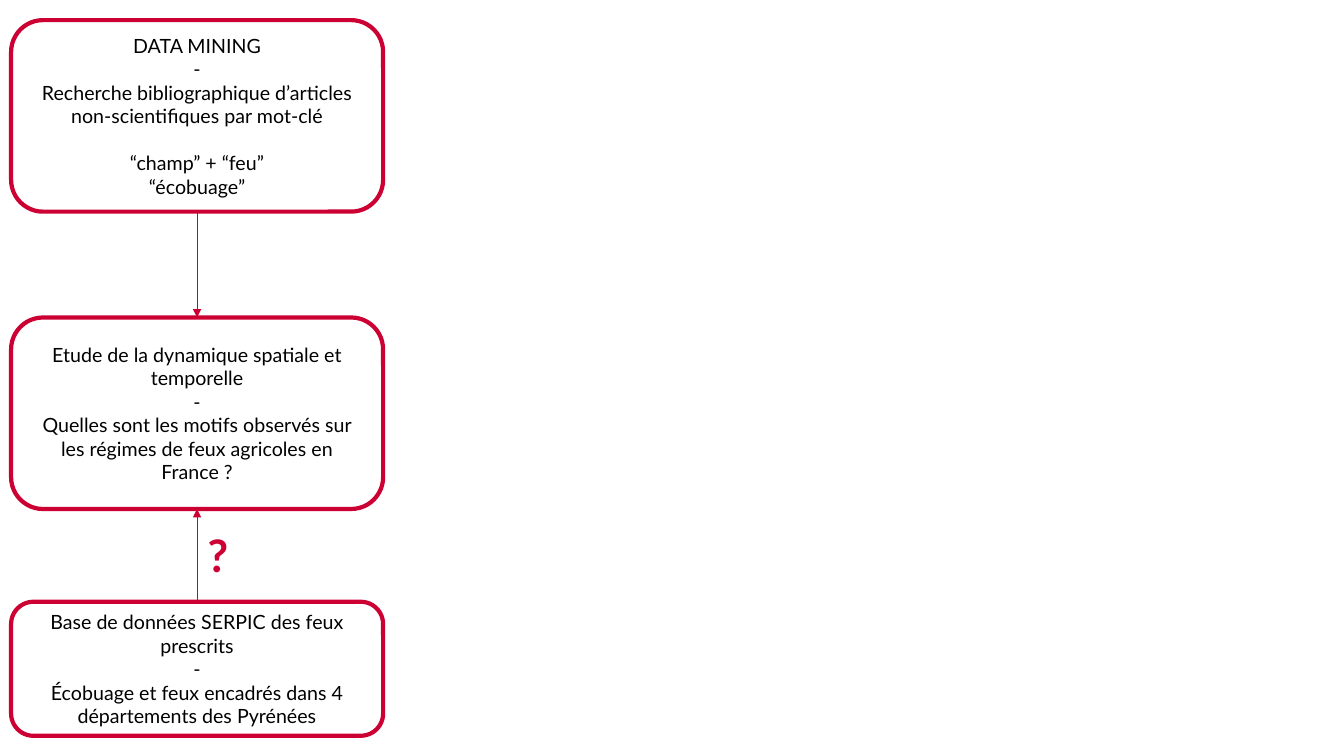
from lxml import etree
from pptx import Presentation
from pptx.dml.color import RGBColor
from pptx.enum.shapes import MSO_CONNECTOR as Connector, MSO_SHAPE as Shape
from pptx.enum.text import MSO_ANCHOR as Anchor, PP_ALIGN as Align
from pptx.oxml.ns import qn
from pptx.util import Inches, Pt

RED = "CC0033"
BLACK = "000000"
FONT = "Lato"
TEXT_SIZE = 14
BOX_LEFT, BOX_WIDTH = 0.11, 3.69
TOP, BOTTOM = 0, 2  # connection sites of a rectangle


def color(hex_value):
    return RGBColor.from_string(hex_value)


def add_run(paragraph, text, size, hex_value, bold=False):
    run = paragraph.add_run()
    run.text = text
    run.font.name = FONT
    run.font.size = Pt(size)
    run.font.bold = bold
    run.font.color.rgb = color(hex_value)


def add_box(slide, top, height, lines, gap_before=None):
    """Rounded box; gap_before is the index of a line set one line lower."""
    box = slide.shapes.add_shape(
        Shape.ROUNDED_RECTANGLE,
        Inches(BOX_LEFT), Inches(top), Inches(BOX_WIDTH), Inches(height))
    box.shadow.inherit = False
    box.fill.background()
    box.line.color.rgb = color(RED)
    box.line.width = Pt(3)
    frame = box.text_frame
    frame.word_wrap = True
    frame.vertical_anchor = Anchor.MIDDLE
    for index, line in enumerate(lines):
        paragraph = frame.paragraphs[0] if index == 0 else frame.add_paragraph()
        paragraph.alignment = Align.CENTER
        if index == gap_before:
            paragraph.space_before = Pt(TEXT_SIZE * 1.2)
        add_run(paragraph, line, TEXT_SIZE, BLACK)
    return box


def add_arrow(slide, start, start_site, end, end_site):
    arrow = slide.shapes.add_connector(Connector.STRAIGHT, 0, 0, 0, 0)
    arrow.begin_connect(start, start_site)
    arrow.end_connect(end, end_site)
    arrow.line.color.rgb = color(RED)
    arrow.line.width = Pt(0.5)
    etree.SubElement(arrow.line._get_or_add_ln(), qn("a:tailEnd"), type="triangle")
    etree.SubElement(arrow._element.spPr, qn("a:effectLst"))


def add_label(slide, left, top, width, height, text):
    label = slide.shapes.add_textbox(
        Inches(left), Inches(top), Inches(width), Inches(height))
    label.text_frame.word_wrap = True
    add_run(label.text_frame.paragraphs[0], text, 32, RED, bold=True)


def main():
    presentation = Presentation()
    presentation.slide_width = Inches(13.33)
    presentation.slide_height = Inches(7.5)
    slide = presentation.slides.add_slide(presentation.slide_layouts[6])

    # Steps of the study
    mining = add_box(slide, 0.2, 1.9, [
        "DATA MINING",
        "-",
        "Recherche bibliographique d’articles non-scientifiques par mot-clé",
        "“champ” + “feu”",
        "“écobuage”",
    ], gap_before=3)
    study = add_box(slide, 3.15, 1.9, [
        "Etude de la dynamique spatiale et temporelle",
        "-",
        "Quelles sont les motifs observés sur les régimes de feux agricoles en France ?",
    ])
    database = add_box(slide, 5.97, 1.33, [
        "Base de données SERPIC des feux prescrits",
        "-",
        "Écobuage et feux encadrés dans 4 départements des Pyrénées",
    ])

    # Both sources lead to the study
    add_arrow(slide, mining, BOTTOM, study, TOP)
    add_arrow(slide, database, TOP, study, BOTTOM)
    add_label(slide, 1.96, 5.19, 0.51, 0.64, "?")

    presentation.save("out.pptx")


if __name__ == "__main__":
    main()
